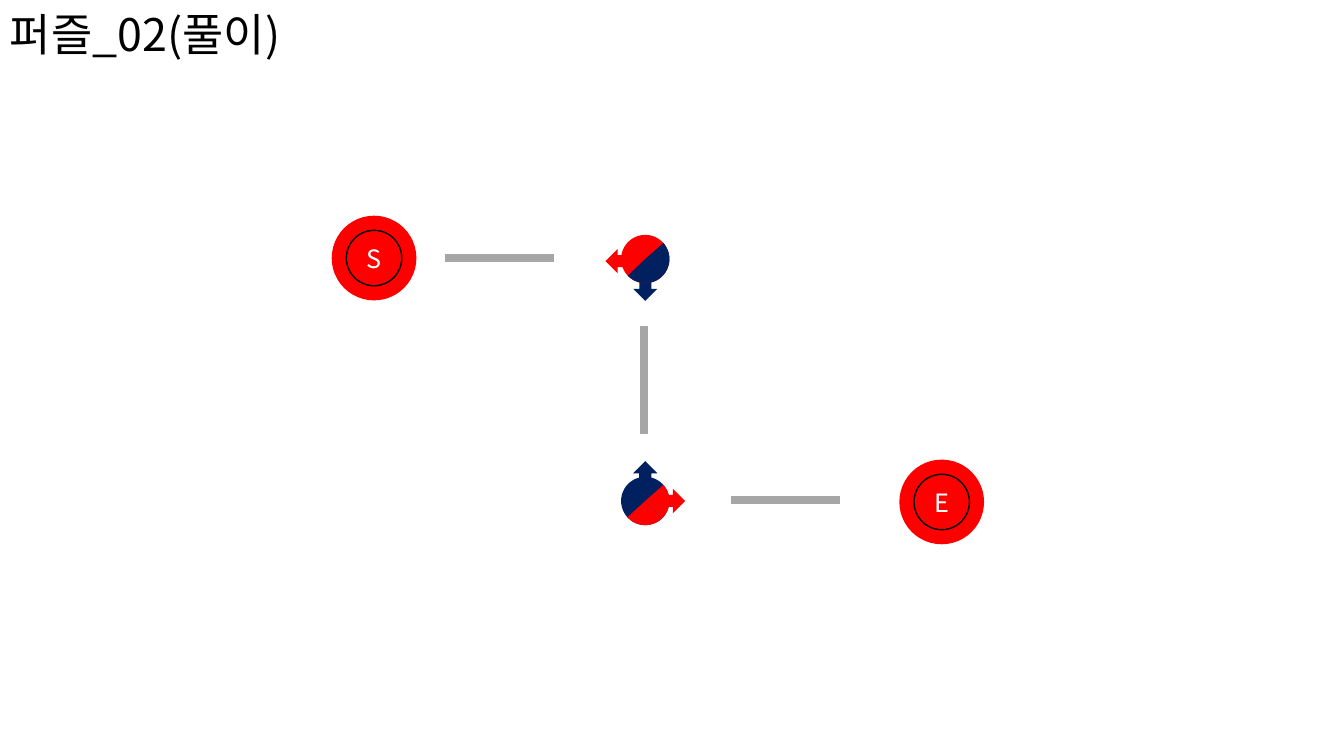
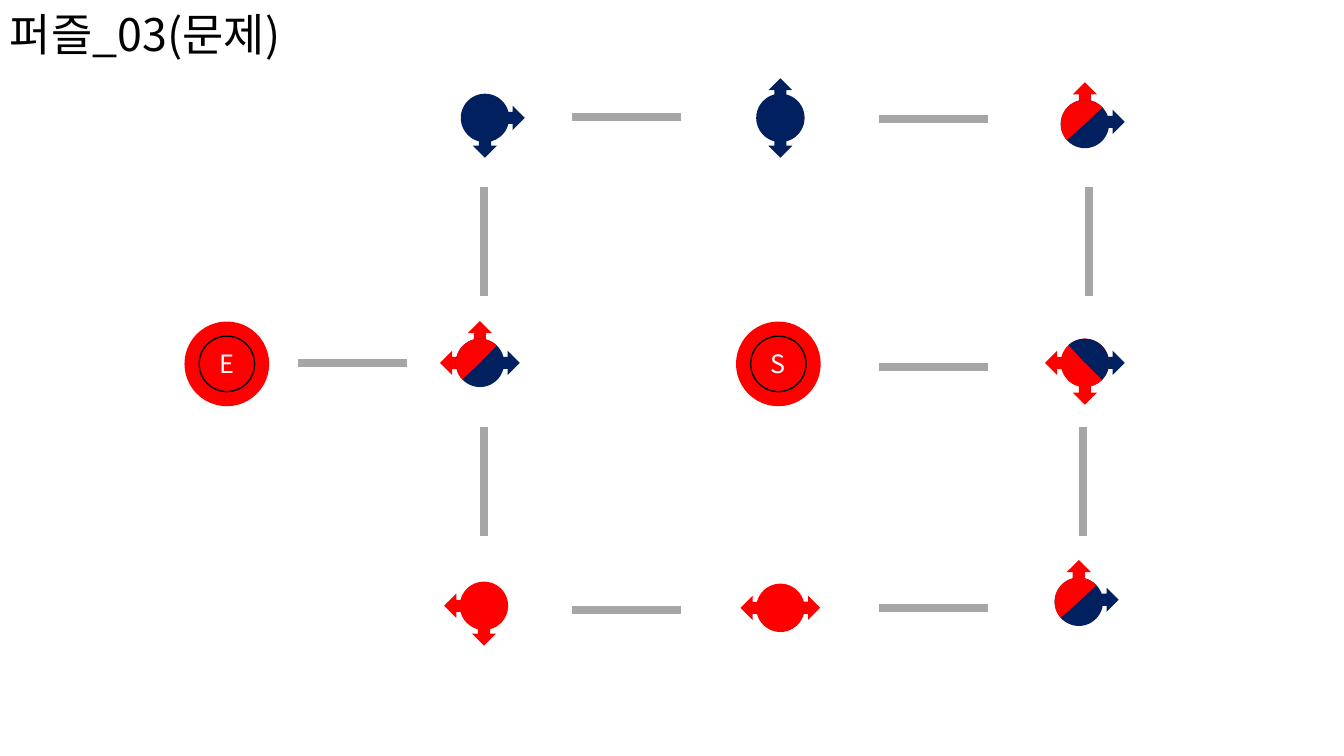
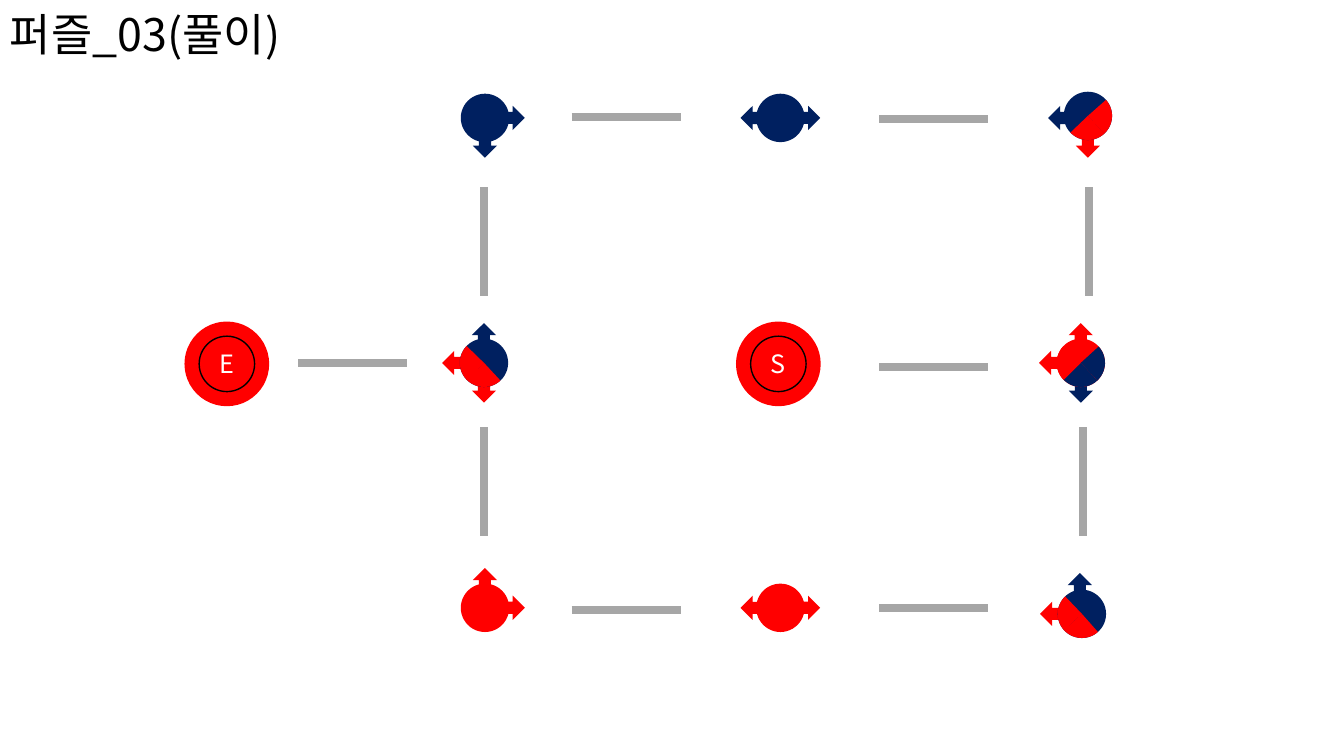
"""Build three slides of a colour-matching path puzzle."""
from typing import Any, NamedTuple

from lxml.etree import SubElement
from pptx import Presentation
from pptx.dml.color import RGBColor
from pptx.enum.shapes import MSO_CONNECTOR, MSO_SHAPE
from pptx.enum.text import MSO_ANCHOR, PP_ALIGN
from pptx.oxml.ns import qn
from pptx.util import Inches, Pt

COLORS = {
    "red": "FF0000",
    "navy": "002060",
    "gray": "A6A6A6",
    "black": "000000",
    "white": "FFFFFF",
}
FONT_NAME = "Noto Sans CJK KR"
TITLE_FRAME = {"word_wrap": True, "vertical_anchor": MSO_ANCHOR.MIDDLE}
TITLE_PARAGRAPH = {"alignment": PP_ALIGN.LEFT, "line_spacing": 0.9}
LABEL_FRAME = {
    "word_wrap": True,
    "vertical_anchor": MSO_ANCHOR.MIDDLE,
    "margin_left": 0,
    "margin_right": 0,
    "margin_top": 0,
    "margin_bottom": 0,
}
LABEL_PARAGRAPH = {"alignment": PP_ALIGN.CENTER}

RING_SIZE, BUTTON_SIZE, DISC_SIZE = 0.84, 0.55, 0.48
ARROW_LENGTH, ARROW_WIDTH, ARROW_REACH = 0.35, 0.24, 0.22
BAR_LENGTH = 1.08
PIE_SWEEP = 53.521
DIRECTIONS = {
    "right": (1, 0, 0),
    "down": (0, 1, 90),
    "left": (-1, 0, 180),
    "up": (0, -1, 270),
}


class Arrow(NamedTuple):
    """An arrow pointing out of a disc."""
    direction: str
    color: str
    reach: float = ARROW_REACH


class Wedge(NamedTuple):
    """A quarter of a disc, turned by an angle."""
    rotation: float
    color: str


class Node(NamedTuple):
    """A disc with arrows around a centre; the disc may be shifted."""
    x: float
    y: float
    color: str
    arrows: tuple[Arrow, ...]
    wedges: tuple[Wedge, ...] = ()
    shift_x: float = 0
    shift_y: float = 0


class Terminal(NamedTuple):
    """A labelled start or end point."""
    x: float
    y: float
    label: str


class Bar(NamedTuple):
    """A gray path segment that starts at a point."""
    x: float
    y: float
    vertical: bool = False


class Puzzle(NamedTuple):
    """The content of one slide."""
    title: str
    terminals: tuple[Terminal, ...]
    bars: tuple[Bar, ...]
    nodes: tuple[Node, ...]


def arrows(color: str, *directions: str) -> tuple[Arrow, ...]:
    """Return arrows of one colour."""
    return tuple(Arrow(direction, color) for direction in directions)


def wedges(color: str, *rotations: float) -> tuple[Wedge, ...]:
    """Return wedges of one colour."""
    return tuple(Wedge(rotation, color) for rotation in rotations)


def rgb(color: str) -> RGBColor:
    """Look up a colour by name."""
    return RGBColor.from_string(COLORS[color])


def apply(target: Any, values: dict[str, Any]) -> None:
    """Set attributes from format values."""
    for name, value in values.items():
        setattr(target, name, value)


def write_text(shape: Any, text: str, size: int, color: str,
               frame_format: dict[str, Any], paragraph_format: dict[str, Any]) -> None:
    """Write one formatted line into a shape."""
    apply(shape.text_frame, frame_format)
    paragraph = shape.text_frame.paragraphs[0]
    apply(paragraph, paragraph_format)
    run = paragraph.add_run()
    run.text = text
    apply(run.font, {"name": FONT_NAME, "size": Pt(size)})
    run.font.color.rgb = rgb(color)
    SubElement(run.font._element, qn("a:ea"), typeface=FONT_NAME)


def add_centered(group: Any, kind: MSO_SHAPE, x: float, y: float, width: float,
                 height: float, color: str, rotation: float = 0) -> Any:
    """Add a filled shape around a centre point."""
    shape = group.shapes.add_shape(
        kind, Inches(x - width / 2), Inches(y - height / 2), Inches(width), Inches(height))
    shape.rotation = rotation
    shape.shadow.inherit = False
    shape.fill.solid()
    shape.fill.fore_color.rgb = rgb(color)
    shape.line.fill.background()
    return shape


def draw_title(slide: Any, title: str) -> None:
    """Draw the slide title."""
    box = slide.shapes.add_textbox(0, 0, Inches(11.5), Inches(0.74))
    write_text(box, title, 32, "black", TITLE_FRAME, TITLE_PARAGRAPH)


def draw_terminal(slide: Any, terminal: Terminal) -> None:
    """Draw a ring with a labelled button inside."""
    group = slide.shapes.add_group_shape()
    x, y, label = terminal
    add_centered(group, MSO_SHAPE.OVAL, x, y, RING_SIZE, RING_SIZE, "red")
    button = add_centered(group, MSO_SHAPE.OVAL, x, y, BUTTON_SIZE, BUTTON_SIZE, "red")
    button.line.color.rgb = rgb("black")
    button.line.width = Pt(1)
    write_text(button, label, 18, "white", LABEL_FRAME, LABEL_PARAGRAPH)


def draw_bar(slide: Any, bar: Bar) -> None:
    """Draw a path segment."""
    end_x = bar.x + (0 if bar.vertical else BAR_LENGTH)
    end_y = bar.y + (BAR_LENGTH if bar.vertical else 0)
    connector = slide.shapes.add_connector(
        MSO_CONNECTOR.STRAIGHT, Inches(bar.x), Inches(bar.y), Inches(end_x), Inches(end_y))
    connector.line.color.rgb = rgb("gray")
    connector.line.width = Pt(6)
    SubElement(connector._element.spPr, qn("a:effectLst"))


def draw_node(slide: Any, node: Node) -> None:
    """Draw arrows, then the disc and its wedges."""
    group = slide.shapes.add_group_shape()
    for arrow in node.arrows:
        step_x, step_y, rotation = DIRECTIONS[arrow.direction]
        add_centered(group, MSO_SHAPE.RIGHT_ARROW, node.x + step_x * arrow.reach,
                     node.y + step_y * arrow.reach, ARROW_LENGTH, ARROW_WIDTH,
                     arrow.color, rotation)
    x, y = node.x + node.shift_x, node.y + node.shift_y
    add_centered(group, MSO_SHAPE.OVAL, x, y, DISC_SIZE, DISC_SIZE, node.color)
    for wedge in node.wedges:
        pie = add_centered(group, MSO_SHAPE.PIE, x, y, DISC_SIZE, DISC_SIZE,
                           wedge.color, wedge.rotation)
        pie.adjustments[0] = 0
        pie.adjustments[1] = PIE_SWEEP


def draw_puzzle(presentation: Any, puzzle: Puzzle) -> None:
    """Add a slide for one puzzle."""
    slide = presentation.slides.add_slide(presentation.slide_layouts[6])
    draw_title(slide, puzzle.title)
    for terminal in puzzle.terminals:
        draw_terminal(slide, terminal)
    for bar in puzzle.bars:
        draw_bar(slide, bar)
    for node in puzzle.nodes:
        draw_node(slide, node)


BOARD_TERMINALS = (Terminal(7.72, 3.61, "S"), Terminal(2.25, 3.61, "E"))
BOARD_BARS = (
    Bar(5.67, 1.16), Bar(8.72, 1.18),
    Bar(2.96, 3.6), Bar(8.72, 3.64),
    Bar(5.67, 6.05), Bar(8.72, 6.03),
    Bar(4.8, 1.86, True), Bar(10.8, 1.86, True),
    Bar(4.8, 4.24, True), Bar(10.74, 4.24, True),
)
TOP_LEFT_NODE = Node(4.81, 1.17, "navy", arrows("navy", "right", "down"))
BOTTOM_MIDDLE_NODE = Node(7.74, 6.03, "red", arrows("red", "left", "right"))

PUZZLES = (
    Puzzle(
        "퍼즐_02(풀이)",
        (Terminal(3.71, 2.56, "S"), Terminal(9.34, 4.98, "E")),
        (Bar(4.41, 2.56), Bar(7.25, 4.96), Bar(6.39, 3.23, True)),
        (
            Node(6.4, 2.59, "red", (Arrow("left", "red"), Arrow("down", "navy")),
                 wedges("navy", 47.1, 318.5), shift_y=-0.02),
            Node(6.4, 4.97, "navy", (Arrow("up", "navy"), Arrow("right", "red")),
                 wedges("red", 318.5, 48.4)),
        ),
    ),
    Puzzle(
        "퍼즐_03(문제)",
        BOARD_TERMINALS,
        BOARD_BARS,
        (
            TOP_LEFT_NODE,
            Node(7.74, 1.17, "navy", arrows("navy", "up", "down")),
            Node(10.76, 1.21, "navy", (Arrow("up", "red"), Arrow("right", "navy")),
                 wedges("red", 227.1, 138.5), shift_y=0.02),
            Node(4.76, 3.6, "navy",
                 (Arrow("up", "red", 0.24), Arrow("right", "navy"), Arrow("left", "red")),
                 wedges("red", 137.1, 225)),
            Node(10.76, 3.6, "red",
                 (Arrow("down", "red", 0.24), Arrow("left", "red"), Arrow("right", "navy")),
                 (Wedge(317.1, "navy"), Wedge(45, "red"), Wedge(227.7, "navy"))),
            Node(4.8, 6.01, "red", arrows("red", "down", "left")),
            BOTTOM_MIDDLE_NODE,
            Node(10.7, 5.95, "navy", (Arrow("up", "red"), Arrow("right", "navy")),
                 wedges("red", 227.1, 138.5), shift_y=0.02),
        ),
    ),
    Puzzle(
        "퍼즐_03(풀이)",
        BOARD_TERMINALS,
        BOARD_BARS,
        (
            TOP_LEFT_NODE,
            Node(7.74, 1.17, "navy", arrows("navy", "left", "right")),
            Node(10.79, 1.17, "navy", (Arrow("down", "red"), Arrow("left", "navy")),
                 wedges("red", 47.1, 318.5), shift_y=-0.02),
            Node(4.8, 3.6, "navy",
                 (Arrow("left", "red", 0.24), Arrow("up", "navy"), Arrow("down", "red")),
                 wedges("red", 47.1, 135)),
            Node(10.72, 3.6, "red",
                 (Arrow("left", "red", 0.24), Arrow("up", "red"), Arrow("down", "navy")),
                 (Wedge(47.1, "navy"), Wedge(135, "red"), Wedge(317.7, "navy"))),
            Node(4.81, 6.03, "red", arrows("red", "up", "right")),
            BOTTOM_MIDDLE_NODE,
            Node(10.71, 6.09, "navy", (Arrow("left", "red"), Arrow("up", "navy", 0.23)),
                 wedges("red", 137.1, 48.5), shift_x=0.02),
        ),
    ),
)


def main() -> None:
    """Build and save the presentation."""
    presentation = Presentation()
    apply(presentation, {"slide_width": Inches(13.33), "slide_height": Inches(7.5)})
    for puzzle in PUZZLES:
        draw_puzzle(presentation, puzzle)
    presentation.save("out.pptx")


if __name__ == "__main__":
    main()
